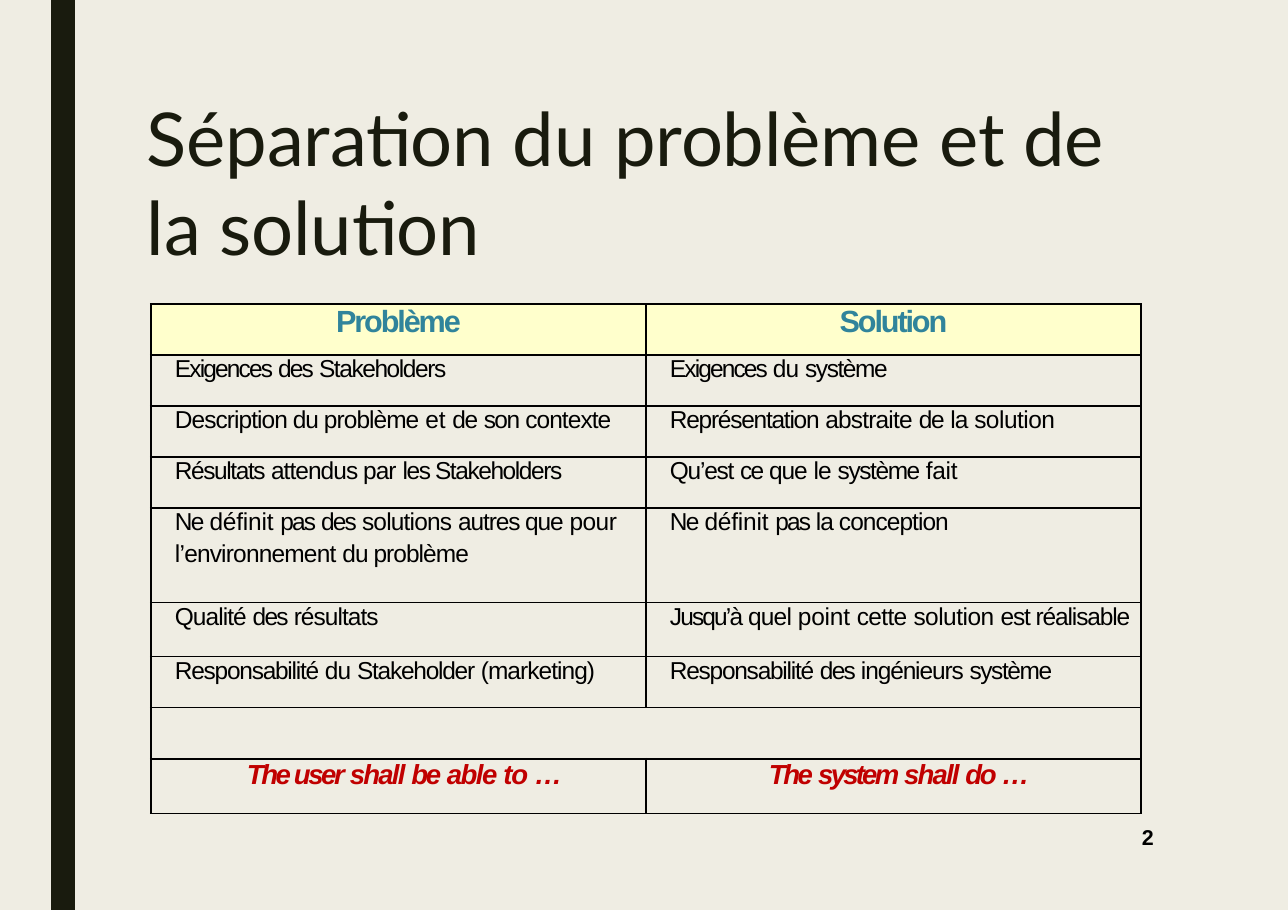
from lxml.etree import SubElement
from pptx import Presentation
from pptx.dml.color import RGBColor
from pptx.enum.shapes import MSO_SHAPE as Shape
from pptx.enum.text import PP_ALIGN as Align
from pptx.oxml.ns import qn
from pptx.util import Pt

COLORS = {"background": "EFEDE3", "dark": "191B0E", "header": "FFFFCC",
          "teal": "30849B", "black": "000000", "red": "C00000"}
SCALE = 8300
SLIDE_SIZE = (1288, 910)
BAR = (51, 0, 24, 910)
TITLE_BOX = (146, 91, 1015, 198)
NUMBER_BOX = (1141, 823, 16, 29)
TABLE_ORIGIN = (151, 304)
COLUMN_WIDTH = 495
ROW_HEIGHTS = [51, 51, 51, 51, 95, 54, 51, 51, 55]
SPACE_BEFORE = [0.6, 0.6, 0.5, 0.4, 0.6, 0.6, 0.4, 0, 0.5]
THICK_LINES = {2, 8}
MERGED_ROW = 7

FORMATS = {
    "title": ({"size": Pt(48.5), "name": "Lato"}, "dark"),
    "number": ({"size": Pt(14), "name": "Arial", "bold": True}, "black"),
    "header": ({"size": Pt(20), "name": "Arial", "bold": True}, "teal"),
    "body": ({"size": Pt(16), "name": "Arial", "bold": False}, "black"),
    "example": ({"size": Pt(18), "name": "Arial", "bold": True, "italic": True}, "red"),
}
ROW_STYLES = ["header"] + ["body"] * 7 + ["example"]
INDENTS = {"header": (0, 0), "body": (24, 24), "example": (96, 123)}

TITLE = [("Séparation ", -0.1), ("du ", 0), ("problème et de la solution", -0.1)]
NUMBER = [("2", 0)]
ROWS = [
    ([[("Problème", -1.4)]], [[("Solution", -1.4)]]),
    ([[("Exigences ", -1.2), ("des ", -1.1), ("Stakeholders", -0.9)]],
     [[("Exigences ", -1.2), ("du ", -0.6), ("système", -0.9)]]),
    ([[("Description du problème ", -0.6), ("et ", -0.1), ("de ", -0.8),
       ("son ", -1), ("contexte", -0.6)]],
     [[("Représentation ", -0.8), ("abstraite ", -0.5), ("de ", -0.8),
       ("la ", -0.6), ("solution", -0.3)]]),
    ([[("Résultats ", -0.9), ("attendus par ", -0.6), ("les Stakeholders", -0.9)]],
     [[("Qu’est ", -0.8), ("ce ", -1.1), ("que ", -0.7), ("le ", -0.5),
       ("système ", -0.9), ("fait", -0.1)]]),
    ([[("Ne ", -1.1), ("définit ", -0.1), ("pas ", -1.2), ("des ", -1.1),
       ("solutions ", -0.5), ("autres que ", -0.7), ("pour", -0.3)],
      [("l’environnement ", -0.5), ("du problème", -0.6)]],
     [[("Ne ", -1.1), ("définit ", -0.1), ("pas ", -1.2), ("la conception", -0.6)]]),
    ([[("Qualité ", -0.6), ("des ", -1.1), ("résultats", -0.6)]],
     [[("Jusqu’à ", -1.2), ("quel ", -0.5), ("point ", -0.1), ("cette ", -0.4),
       ("solution ", -0.3), ("est réalisable", -0.7)]]),
    ([[("Responsabilité ", -0.8), ("du ", -0.6), ("Stakeholder ", -0.8),
       ("(marketing)", -0.6)]],
     [[("Responsabilité ", -0.8), ("des ", -1.1), ("ingénieurs ", -0.7),
       ("système", -0.9)]]),
    ([], []),
    ([[("The user ", -1.6), ("shall ", -1.2), ("be ", -1.4), ("able ", -1),
       ("to ", -0.8), ("…", -5.2)]],
     [[("The ", -1.6), ("system ", -1.8), ("shall ", -1.2), ("do ", -1.6),
       ("…", -5.2)]]),
]


def px(*values):
    return [value * SCALE for value in values]


def color(name):
    return RGBColor.from_string(COLORS[name])


def write_paragraph(paragraph, runs, style, space_before):
    values, color_name = FORMATS[style]
    paragraph.space_before = Pt(space_before)
    paragraph.alignment = Align.CENTER if style == "header" else Align.LEFT
    for text, spacing in runs:
        run = paragraph.add_run()
        run.text = text
        for attribute, value in values.items():
            setattr(run.font, attribute, value)
        run.font.color.rgb = color(color_name)
        run._r.get_or_add_rPr().set("spc", str(round(spacing * 100)))


def set_margins(target, left):
    margins = {"left": left, "top": 1, "right": 0, "bottom": 0}
    for side, value in margins.items():
        setattr(target, f"margin_{side}", value * SCALE)


def add_text(slide, box, runs, style):
    frame = slide.shapes.add_textbox(*px(*box)).text_frame
    frame.word_wrap = True
    set_margins(frame, 1)
    write_paragraph(frame.paragraphs[0], runs, style, 1)


def set_borders(cell, row, column):
    widths = {"lnL": 1 if column else 1.5, "lnR": 1,
              "lnT": 1.5 if row in THICK_LINES else 1,
              "lnB": 1.5 if row + 1 in THICK_LINES else 1}
    properties = cell._tc.get_or_add_tcPr()
    for position, (tag, width) in enumerate(widths.items()):
        line = SubElement(properties, qn(f"a:{tag}"), w=str(Pt(width)))
        fill = SubElement(line, qn("a:solidFill"))
        SubElement(fill, qn("a:srgbClr"), val=COLORS["black"])
        properties.insert(position, line)


def add_comparison(slide):
    size = (2 * COLUMN_WIDTH, sum(ROW_HEIGHTS))
    table = slide.shapes.add_table(len(ROWS), 2, *px(*TABLE_ORIGIN, *size)).table
    table.first_row = table.horz_banding = False
    for row, contents in enumerate(ROWS):
        table.rows[row].height = ROW_HEIGHTS[row] * SCALE
        style = ROW_STYLES[row]
        for column, paragraphs in enumerate(contents):
            cell = table.cell(row, column)
            set_margins(cell, INDENTS[style][column])
            if style == "header":
                cell.fill.solid()
                cell.fill.fore_color.rgb = color("header")
            else:
                cell.fill.background()
            set_borders(cell, row, column)
            frame = cell.text_frame
            for index, runs in enumerate(paragraphs):
                paragraph = frame.add_paragraph() if index else frame.paragraphs[0]
                space_before = 2.9 if index else SPACE_BEFORE[row]
                write_paragraph(paragraph, runs, style, space_before)
    table.cell(MERGED_ROW, 0).merge(table.cell(MERGED_ROW, 1))


def main():
    presentation = Presentation()
    presentation.slide_width, presentation.slide_height = px(*SLIDE_SIZE)
    slide = presentation.slides.add_slide(presentation.slide_layouts[6])
    slide.background.fill.solid()
    slide.background.fill.fore_color.rgb = color("background")
    bar = slide.shapes.add_shape(Shape.RECTANGLE, *px(*BAR))
    bar.shadow.inherit = False
    bar.fill.solid()
    bar.fill.fore_color.rgb = color("dark")
    bar.line.fill.background()
    add_text(slide, TITLE_BOX, TITLE, "title")
    add_comparison(slide)
    add_text(slide, NUMBER_BOX, NUMBER, "number")
    presentation.save("out.pptx")


if __name__ == "__main__":
    main()
